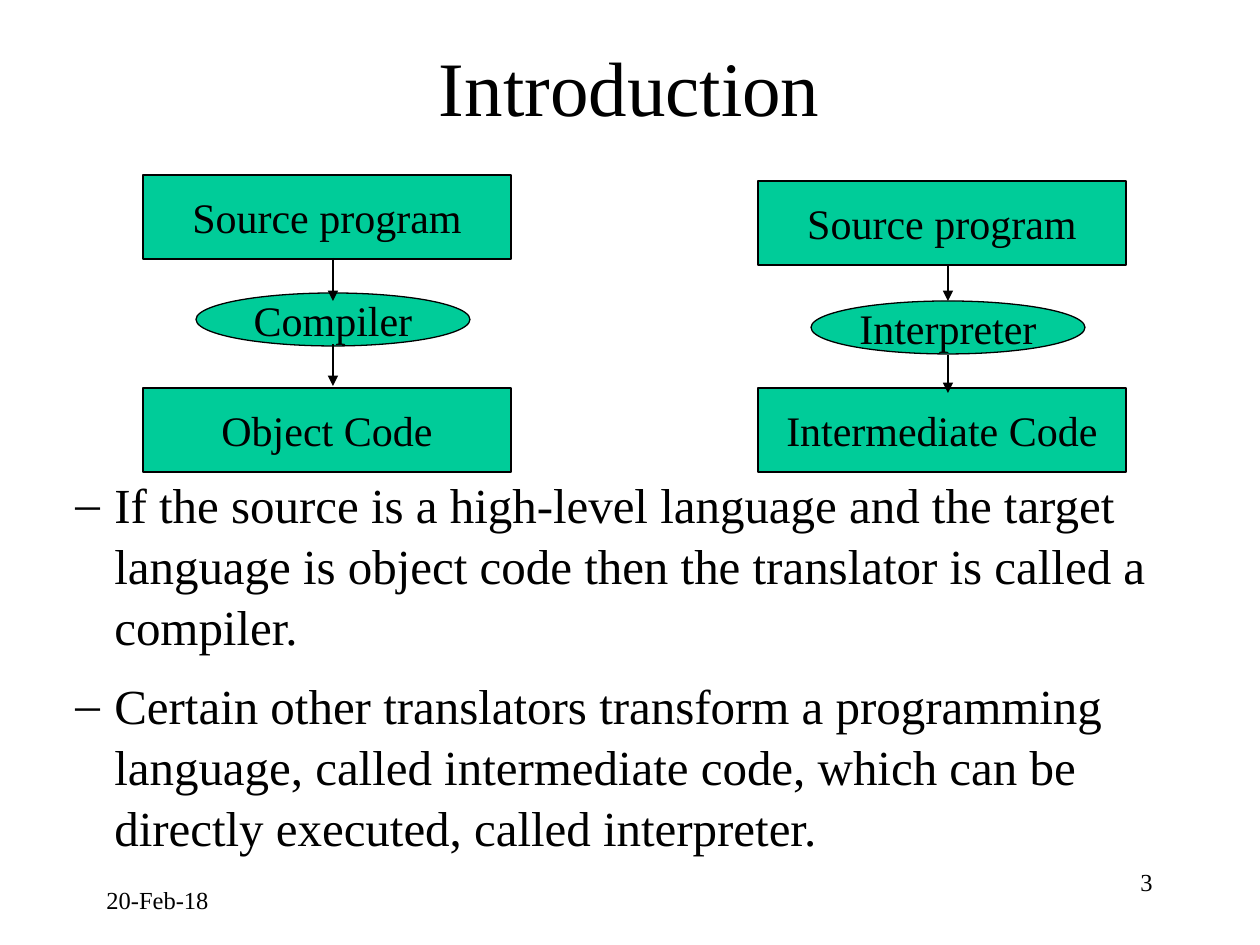
from lxml import etree
from pptx import Presentation, util as u
from pptx.dml.color import RGBColor
from pptx.enum import shapes, text
from pptx.oxml import ns

PX = u.Inches(1) / 126
FONT = "Times New Roman"
BLACK, GREEN = "000000", "00CC99"
COLUMN_STEP = 615
BOX_LEFT, BOX_WIDTH, BOX_HEIGHT = 143, 368, 84
OVAL_LEFT, OVAL_WIDTH, OVAL_HEIGHT = 196, 274, 53
RESULT_TOP = 388

# source top, translator name and top, result name, arrow (start, end) heights
FLOWS = [
    (175, "Compiler", 293, "Object Code", [(258, 301), (344, 386)]),
    (181, "Interpreter", 301, "Intermediate Code", [(265, 301), (355, 393)]),
]
STATEMENTS = [
    "If the source is a high-level language and the target language is "
    "object code then the translator is called a compiler.",
    "Certain other translators transform a programming language, called "
    "intermediate code, which can be directly executed, called interpreter.",
]


def px(*lengths):
    return [u.Emu(round(length * PX)) for length in lengths]


def color(value):
    return RGBColor.from_string(value)


def write(paragraph, words, size, align=text.PP_ALIGN.LEFT):
    paragraph.alignment = align
    run = paragraph.add_run()
    run.text = words
    run.font.name = FONT
    run.font.size = u.Pt(size)
    run.font.color.rgb = color(BLACK)


def add_label(slide, box, words, size, align=text.PP_ALIGN.LEFT,
              anchor=text.MSO_ANCHOR.TOP):
    frame = slide.shapes.add_textbox(*px(*box)).text_frame
    frame.word_wrap = True
    frame.vertical_anchor = anchor
    write(frame.paragraphs[0], words, size, align)


def add_node(slide, kind, box, words):
    shape = slide.shapes.add_shape(kind, *px(*box))
    shape.shadow.inherit = False
    shape.fill.solid()
    shape.fill.fore_color.rgb = color(GREEN)
    shape.line.color.rgb = color(BLACK)
    shape.line.width = u.Pt(0.75)
    frame = shape.text_frame
    frame.word_wrap = False
    frame.vertical_anchor = text.MSO_ANCHOR.MIDDLE
    write(frame.paragraphs[0], words, 24, text.PP_ALIGN.CENTER)


def add_arrow(slide, x, start, end):
    arrow = slide.shapes.add_connector(
        shapes.MSO_CONNECTOR.STRAIGHT, *px(x, start, x, end))
    arrow.line.color.rgb = color(BLACK)
    arrow.line.width = u.Pt(0.75)
    line = arrow.line._get_or_add_ln()
    etree.SubElement(line, ns.qn("a:tailEnd"), type="triangle")
    etree.SubElement(arrow._element.spPr, ns.qn("a:effectLst"))


def add_flow(slide, offset, flow):
    """Draw one column: source, translator and result."""
    source_top, translator, oval_top, result, arrows = flow
    for top, words in ((source_top, "Source program"), (RESULT_TOP, result)):
        add_node(slide, shapes.MSO_SHAPE.RECTANGLE,
                 (BOX_LEFT + offset, top, BOX_WIDTH, BOX_HEIGHT), words)
    left = OVAL_LEFT + offset
    add_node(slide, shapes.MSO_SHAPE.OVAL,
             (left, oval_top, OVAL_WIDTH, OVAL_HEIGHT), translator)
    for start, end in arrows:
        add_arrow(slide, left + OVAL_WIDTH // 2, start, end)


def add_statements(slide):
    frame = slide.shapes.add_textbox(*px(0, 466, 1225, 400)).text_frame
    frame.word_wrap = True
    for index, statement in enumerate(STATEMENTS):
        paragraph = frame.add_paragraph() if index else frame.paragraphs[0]
        paragraph.space_before = paragraph.space_after = u.Pt(5)
        paragraph.line_spacing = 1.04
        write(paragraph, statement, 28)
        properties = paragraph._p.get_or_add_pPr()
        margin, indent = px(102, -39)
        properties.set("marL", str(margin))
        properties.set("indent", str(indent))
        etree.SubElement(properties, ns.qn("a:buFont"), typeface=FONT)
        etree.SubElement(properties, ns.qn("a:buChar"), char="–")


def main():
    presentation = Presentation()
    presentation.slide_width, presentation.slide_height = px(1260, 945)
    slide = presentation.slides.add_slide(presentation.slide_layouts[6])
    add_label(slide, (94, 879, 262, 63), "20-Feb-18", 14)
    add_label(slide, (903, 861, 262, 63), "3", 14, text.PP_ALIGN.RIGHT)
    add_label(slide, (94, 6, 1071, 159), "Introduction", 44,
              text.PP_ALIGN.CENTER, text.MSO_ANCHOR.MIDDLE)
    add_statements(slide)
    for column, flow in enumerate(FLOWS):
        add_flow(slide, column * COLUMN_STEP, flow)
    presentation.save("out.pptx")


if __name__ == "__main__":
    main()
